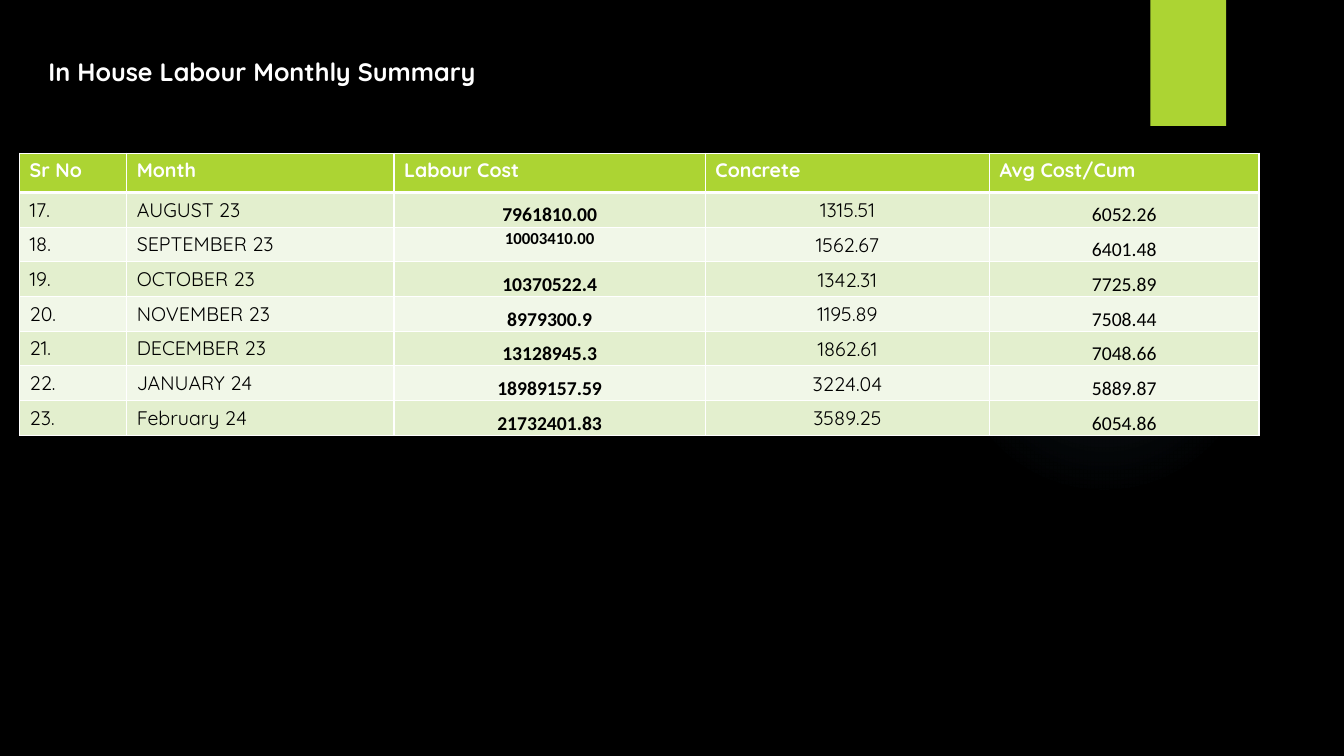
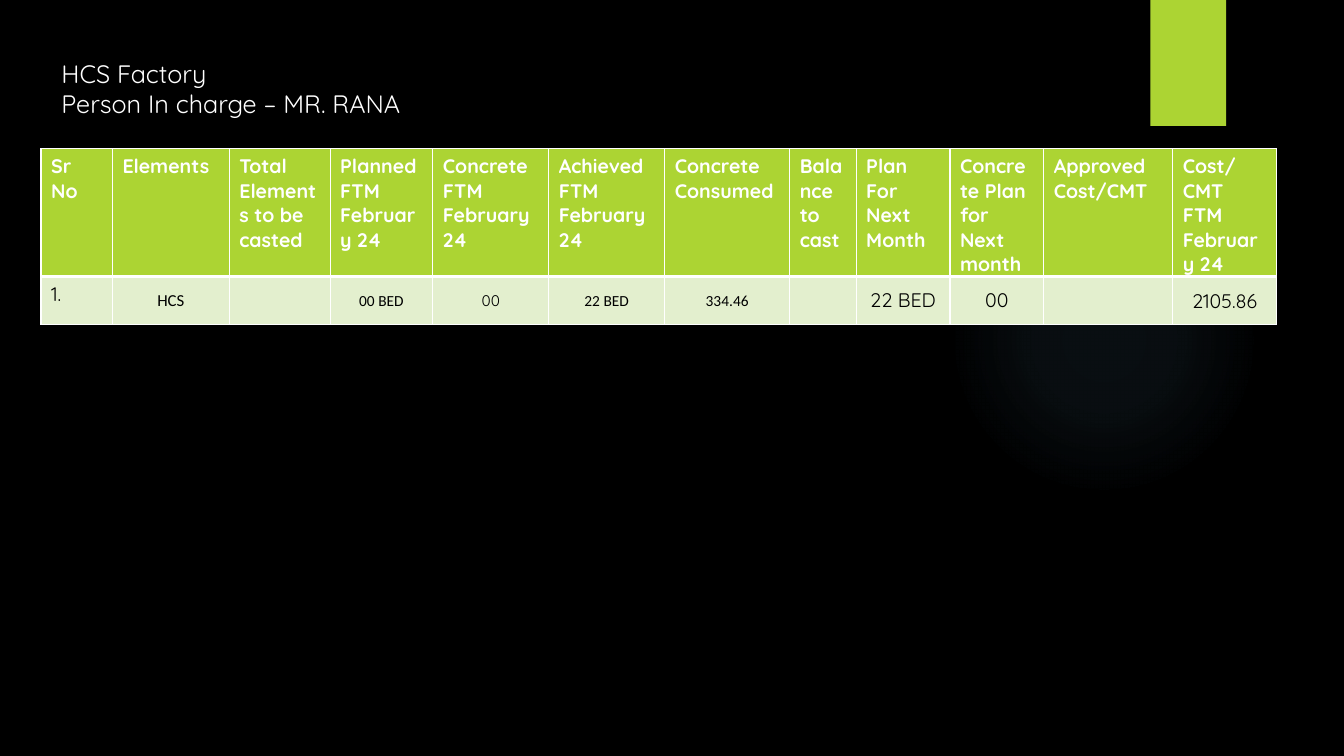
"""Build two labour cost slides, each with a title and a table."""
from lxml import etree
from pptx import Presentation
from pptx.dml.color import RGBColor
from pptx.enum.shapes import MSO_SHAPE
from pptx.enum.text import MSO_ANCHOR, MSO_AUTO_SIZE, PP_ALIGN
from pptx.oxml import parse_xml
from pptx.oxml.ns import nsdecls, qn
from pptx.util import Pt

LEFT, CENTER = PP_ALIGN.LEFT, PP_ALIGN.CENTER
TOP, MIDDLE, BOTTOM = MSO_ANCHOR.TOP, MSO_ANCHOR.MIDDLE, MSO_ANCHOR.BOTTOM
OVAL, RECTANGLE = MSO_SHAPE.OVAL, MSO_SHAPE.RECTANGLE
NO_AUTOFIT = MSO_AUTO_SIZE.NONE
TITLE_ONLY = 5

COLORS = {
    "black": "000000",
    "white": "FFFFFF",
    "green": "ACD433",
    "band": "E3EFCE",
    "band_light": "F1F7E8",
    "glow": "7AC4F0",
}
GLOW_STOPS = [(0, 7), (36, 6), (69, 0)]
FULL_INSET = {"margin_left": Pt(7.2), "margin_top": Pt(3.6), "margin_right": Pt(7.2)}
TIGHT_INSET = {"margin_left": Pt(0.72), "margin_top": Pt(0.72),
               "margin_right": Pt(0.72), "margin_bottom": 0}

STYLES = {
    "header": ("Quicksand", 14, True, LEFT, TOP, FULL_INSET | {"margin_bottom": 0}),
    "label": ("Quicksand", 14, False, LEFT, TOP, FULL_INSET),
    "cost": ("Calibri", 14, True, CENTER, BOTTOM, TIGHT_INSET),
    "cost_small": ("Calibri", 12, True, CENTER, TOP, TIGHT_INSET),
    "volume": ("Quicksand", 14, False, CENTER, MIDDLE, TIGHT_INSET),
    "average": ("Calibri", 14, False, CENTER, BOTTOM, TIGHT_INSET),
    "element": ("Calibri", 12, False, CENTER, MIDDLE, TIGHT_INSET),
    "count": ("Calibri", 11, False, CENTER, MIDDLE, TIGHT_INSET),
    "count_light": ("Quicksand", 11, False, CENTER, MIDDLE, TIGHT_INSET),
    "plan": ("Quicksand", 14, False, CENTER, MIDDLE, FULL_INSET),
}

PAGES = [
    {
        "title": "In House Labour Monthly Summary",
        "title_at": (27.4, 36.7),
        "bold": True,
        "table_at": (14, 109.5),
        "widths": [76.5, 191, 222.4, 203, 192.4],
        "heights": (28, 24.8),
        "styles": ["label", "label", "cost", "volume", "average"],
        "exceptions": {(2, 2): "cost_small"},
        "rows": [
            ["Sr No", "Month", "Labour Cost", "Concrete", "Avg Cost/Cum"],
            ["17.", "AUGUST 23", "7961810.00", "1315.51", "6052.26"],
            ["18.", "SEPTEMBER 23", "10003410.00", "1562.67", "6401.48"],
            ["19.", "OCTOBER 23", "10370522.4", "1342.31", "7725.89"],
            ["20.", "NOVEMBER 23", "8979300.9", "1195.89", "7508.44"],
            ["21.", "DECEMBER 23", "13128945.3", "1862.61", "7048.66"],
            ["22.", "JANUARY 24", "18989157.59", "3224.04", "5889.87"],
            ["23.", "February 24", "21732401.83", "3589.25", "6054.86"],
        ],
    },
    {
        "title": "HCS Factory\nPerson In charge – MR. RANA",
        "title_at": (36.7, 38.2),
        "bold": False,
        "table_at": (29.3, 106.3),
        "widths": [51, 83.5, 72, 73.4, 82.8, 82.8, 89.3, 47.5, 67, 67, 92.2, 74.2],
        "heights": (91.2, 34),
        "styles": ["label", "element", "count", "count", "count_light", "count",
                   "count", "count", "plan", "plan", "plan", "volume"],
        "exceptions": {},
        "rows": [
            ["Sr No", "Elements", "Total Elements to be casted",
             "Planned FTM February 24", "Concrete FTM February 24",
             "Achieved FTM February 24", "Concrete Consumed", "Balance to cast",
             "Plan For Next Month", "Concrete Plan for Next month",
             "Approved Cost/CMT", "Cost/CMT FTM February 24"],
            ["1.", "HCS", "", "00 BED", "00", "22 BED", "334.46", "",
             "22 BED", "00", "", "2105.86"],
        ],
    },
]


def format_text(frame, font, size, bold, align, color):
    for paragraph in frame.paragraphs:
        paragraph.alignment = align
        for run in paragraph.runs:
            for key, value in {"name": font, "size": Pt(size), "bold": bold}.items():
                setattr(run.font, key, value)
            run.font.color.rgb = RGBColor.from_string(COLORS[color])


def add_border(cell, side, width):
    line = etree.SubElement(cell._tc.get_or_add_tcPr(), qn(f"a:ln{side}"), w=str(Pt(width)))
    fill = etree.SubElement(line, qn("a:solidFill"))
    etree.SubElement(fill, qn("a:srgbClr"), val=COLORS["white"])


prs = Presentation()
prs.slide_width, prs.slide_height = Pt(960), Pt(540)
backdrop = prs.slide_master.background.fill
backdrop.solid()
backdrop.fore_color.rgb = RGBColor.from_string(COLORS["black"])

stops = "".join(
    f'<a:gs pos="{position * 1000}"><a:srgbClr val="{COLORS["glow"]}">'
    f'<a:alpha val="{alpha * 1000}"/></a:srgbClr></a:gs>'
    for position, alpha in GLOW_STOPS
)
glow_fill = (
    f'<a:gradFill {nsdecls("a")}><a:gsLst>{stops}</a:gsLst><a:path path="circle">'
    '<a:fillToRect l="50000" t="50000" r="50000" b="50000"/></a:path></a:gradFill>'
)

for page in PAGES:
    slide = prs.slides.add_slide(prs.slide_layouts[TITLE_ONLY])

    glow = slide.shapes.add_shape(OVAL, Pt(677.5), Pt(131.8), Pt(221.8), Pt(221.8))
    glow.shadow.inherit = False
    glow.line.fill.background()
    glow._element.spPr.find(qn("a:prstGeom")).addnext(parse_xml(glow_fill))

    tab = slide.shapes.add_shape(RECTANGLE, Pt(821.8), 0, Pt(54), Pt(90))
    tab.shadow.inherit = False
    tab.line.fill.background()
    tab.fill.solid()
    tab.fill.fore_color.rgb = RGBColor.from_string(COLORS["green"])

    title = slide.shapes.title
    title.left, title.top = [Pt(offset) for offset in page["title_at"]]
    title.width, title.height = Pt(480), Pt(51)
    title.text_frame.text = page["title"]
    title.text_frame.auto_size = NO_AUTOFIT
    title.text_frame.vertical_anchor = TOP
    format_text(title.text_frame, "Quicksand", 18, page["bold"], LEFT, "white")

    rows, widths = page["rows"], page["widths"]
    header_height, body_height = page["heights"]
    left, top = page["table_at"]
    table = slide.shapes.add_table(
        len(rows), len(widths), Pt(left), Pt(top), Pt(sum(widths)),
        Pt(header_height + body_height * (len(rows) - 1))).table
    for column, width in zip(table.columns, widths):
        column.width = Pt(width)

    for r, values in enumerate(rows):
        is_header = r == 0
        table.rows[r].height = Pt(header_height if is_header else body_height)
        band = "green" if is_header else "band" if r % 2 else "band_light"
        borders = {"L": 1, "R": 1, "T": 1, "B": 3} if is_header else {"L": 1, "R": 1, "B": 1}
        for c, value in enumerate(values):
            style = "header" if is_header else page["exceptions"].get((r, c), page["styles"][c])
            font, size, bold, align, anchor, inset = STYLES[style]
            cell = table.cell(r, c)
            cell.text = value
            for key, setting in {"vertical_anchor": anchor, **inset}.items():
                setattr(cell, key, setting)
            format_text(cell.text_frame, font, size, bold, align,
                        "white" if is_header else "black")
            for side, width in borders.items():
                add_border(cell, side, width)
            cell.fill.solid()
            cell.fill.fore_color.rgb = RGBColor.from_string(COLORS[band])

prs.save("out.pptx")
